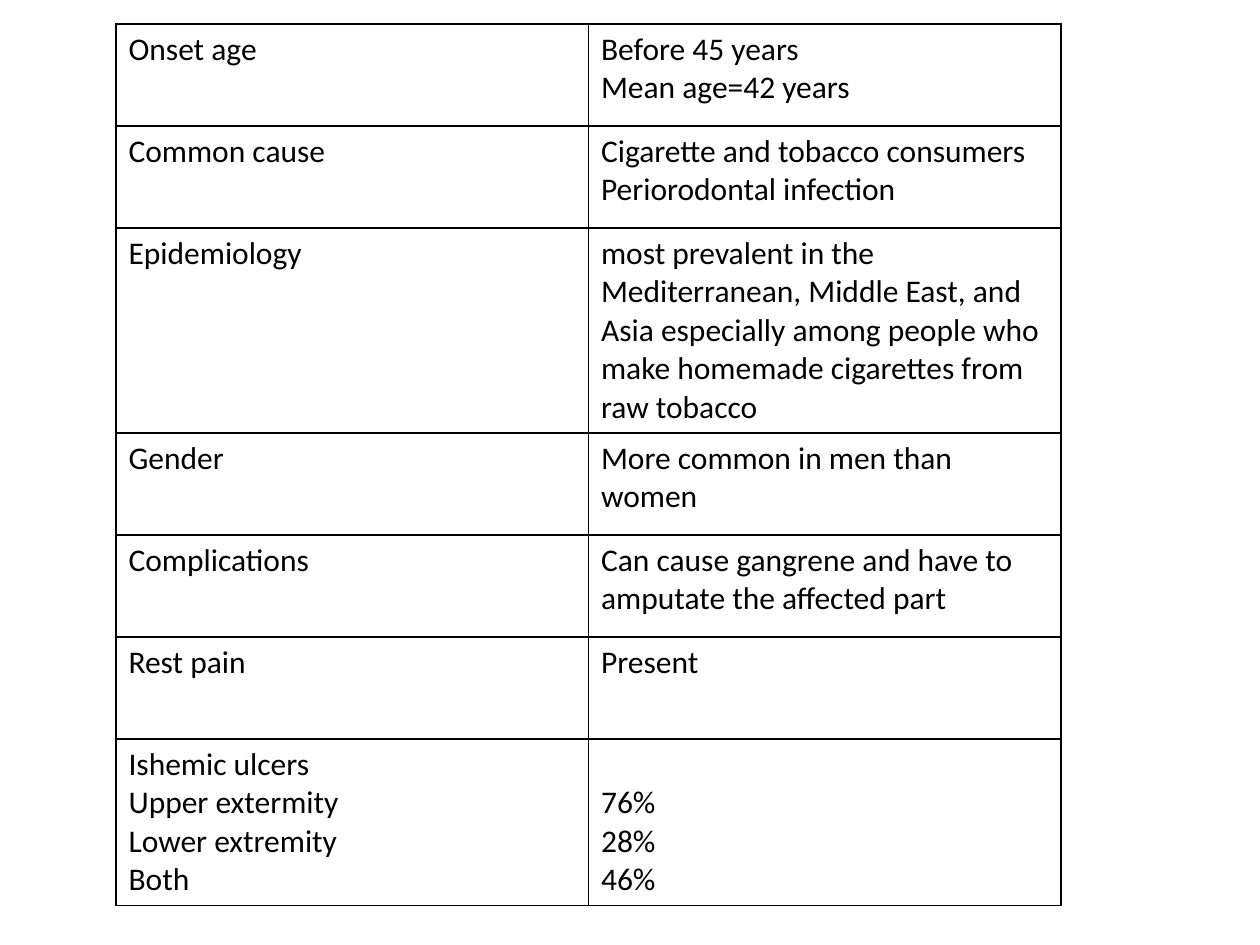
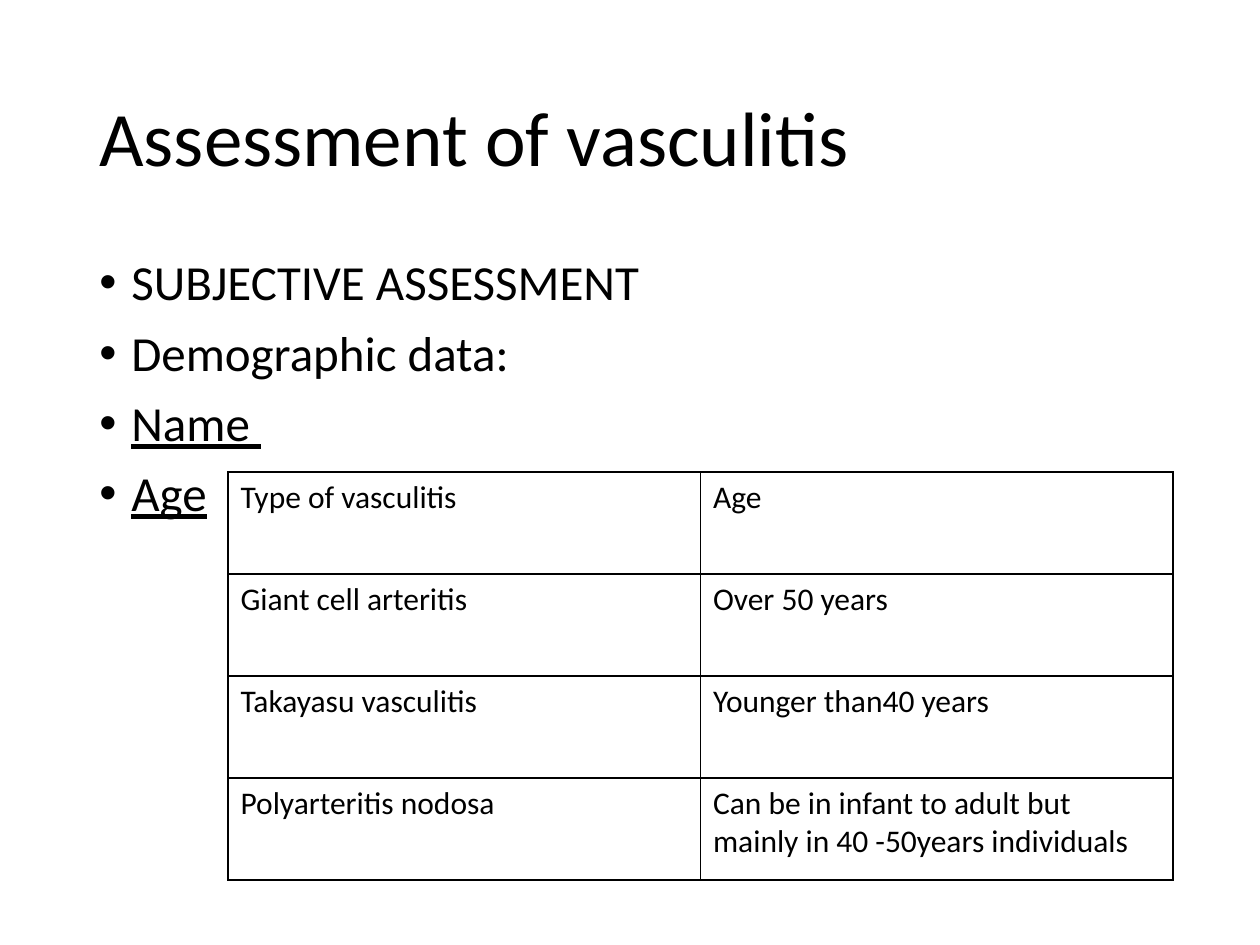
from dataclasses import dataclass

from lxml import etree
from pptx import Presentation
from pptx import util as u
from pptx.dml import color
from pptx.enum import text
from pptx.oxml import ns

PX = 914400 / 126
SLIDE_W, SLIDE_H = 1260, 945
BLACK = "000000"
WHITE = "FFFFFF"
FONT = "Calibri"
TABLE_W, ROW_H = 945, 102
BULLET_INDENT = 32


@dataclass(frozen=True)
class Box:
    left: int
    top: int
    width: int
    height: int


@dataclass(frozen=True)
class Line:
    words: str
    underline: bool = False


@dataclass(frozen=True)
class Grid:
    left: int
    top: int
    rows: tuple[tuple[str, str], ...]


TITLE_BOX = Box(87, 50, 1086, 183)
BODY_BOX = Box(87, 252, 1086, 600)

DISEASE_FACTS = Grid(116, 24, (
    ("Onset age", "Before 45 years\nMean age=42 years"),
    ("Common cause", "Cigarette and tobacco consumers\nPeriorodontal infection"),
    ("Epidemiology",
     "most prevalent in the Mediterranean, Middle East, and Asia especially "
     "among people who make homemade cigarettes from raw tobacco"),
    ("Gender", "More common in men than women"),
    ("Complications", "Can cause gangrene and have to amputate the affected part"),
    ("Rest pain", "Present"),
    ("Ishemic ulcers\nUpper extermity\nLower extremity\nBoth", "76%\n28%\n46%"),
))

AGE_BY_TYPE = Grid(228, 472, (
    ("Type of vasculitis", "Age"),
    ("Giant cell arteritis", "Over 50 years"),
    ("Takayasu vasculitis", "Younger than40 years"),
    ("Polyarteritis nodosa",
     "Can be in infant to adult but mainly in 40 -50years individuals"),
))

ASSESSMENT = (
    Line("SUBJECTIVE ASSESSMENT"),
    Line("Demographic data:"),
    Line("Name ", underline=True),
    Line("Age", underline=True),
)


def px(n: int) -> u.Emu:
    return u.Emu(round(n * PX))


def rgb(code: str) -> color.RGBColor:
    return color.RGBColor.from_string(code)


def apply(target, values: dict) -> None:
    for name, value in values.items():
        setattr(target, name, value)


def style_font(font, size: int, underline: bool = False) -> None:
    apply(font, {"name": FONT, "size": u.Pt(size), "underline": underline})
    font.color.rgb = rgb(BLACK)


def add_bullet(p) -> None:
    pPr = p._p.get_or_add_pPr()
    indent = px(BULLET_INDENT)
    pPr.set("marL", str(indent))
    pPr.set("indent", str(-indent))
    etree.SubElement(pPr, ns.qn("a:buFont")).set("typeface", "Arial")
    etree.SubElement(pPr, ns.qn("a:buChar")).set("char", "•")


def add_text(slide, box: Box, lines: tuple[Line, ...], size: int,
             anchor=text.MSO_ANCHOR.TOP, bulleted: bool = False) -> None:
    sp = slide.shapes.add_textbox(px(box.left), px(box.top), px(box.width), px(box.height))
    tf = sp.text_frame
    apply(tf, {"word_wrap": True, "vertical_anchor": anchor})
    for i, line in enumerate(lines):
        p = tf.add_paragraph() if i else tf.paragraphs[0]
        p.line_spacing = 0.9
        if bulleted:
            p.space_before = u.Pt(10)
            add_bullet(p)
        r = p.add_run()
        r.text = line.words
        style_font(r.font, size, line.underline)


def add_borders(cell) -> None:
    tcPr = cell._tc.get_or_add_tcPr()
    for side in ("lnL", "lnR", "lnT", "lnB"):
        ln = etree.SubElement(tcPr, ns.qn(f"a:{side}"), w=str(u.Pt(1)))
        fill = etree.SubElement(ln, ns.qn("a:solidFill"))
        etree.SubElement(fill, ns.qn("a:srgbClr"), val=BLACK)


def add_grid(slide, grid: Grid) -> None:
    count = len(grid.rows)
    frame = slide.shapes.add_table(count, 2, px(grid.left), px(grid.top),
                                   px(TABLE_W), px(ROW_H * count))
    table = frame.table
    apply(table, {"first_row": False, "horz_banding": False})
    for i, row in enumerate(grid.rows):
        lines = [words.count("\n") for words in row]
        for j, words in enumerate(row):
            cell = table.cell(i, j)
            add_borders(cell)
            cell.fill.background()
            cell.text = words
            if lines[0] > lines[1] > 0 and j == 1:
                cell.vertical_anchor = text.MSO_ANCHOR.BOTTOM
            for p in cell.text_frame.paragraphs:
                for r in p.runs:
                    style_font(r.font, 18)


def add_slide(prs):
    slide = prs.slides.add_slide(prs.slide_layouts[6])
    fill = slide.background.fill
    fill.solid()
    fill.fore_color.rgb = rgb(WHITE)
    return slide


def main() -> None:
    prs = Presentation()
    apply(prs, {"slide_width": px(SLIDE_W), "slide_height": px(SLIDE_H)})

    add_grid(add_slide(prs), DISEASE_FACTS)

    slide = add_slide(prs)
    add_text(slide, TITLE_BOX, (Line("Assessment of vasculitis"),), 44,
             anchor=text.MSO_ANCHOR.MIDDLE)
    add_text(slide, BODY_BOX, ASSESSMENT, 28, bulleted=True)
    add_grid(slide, AGE_BY_TYPE)

    prs.save("out.pptx")


if __name__ == "__main__":
    main()
